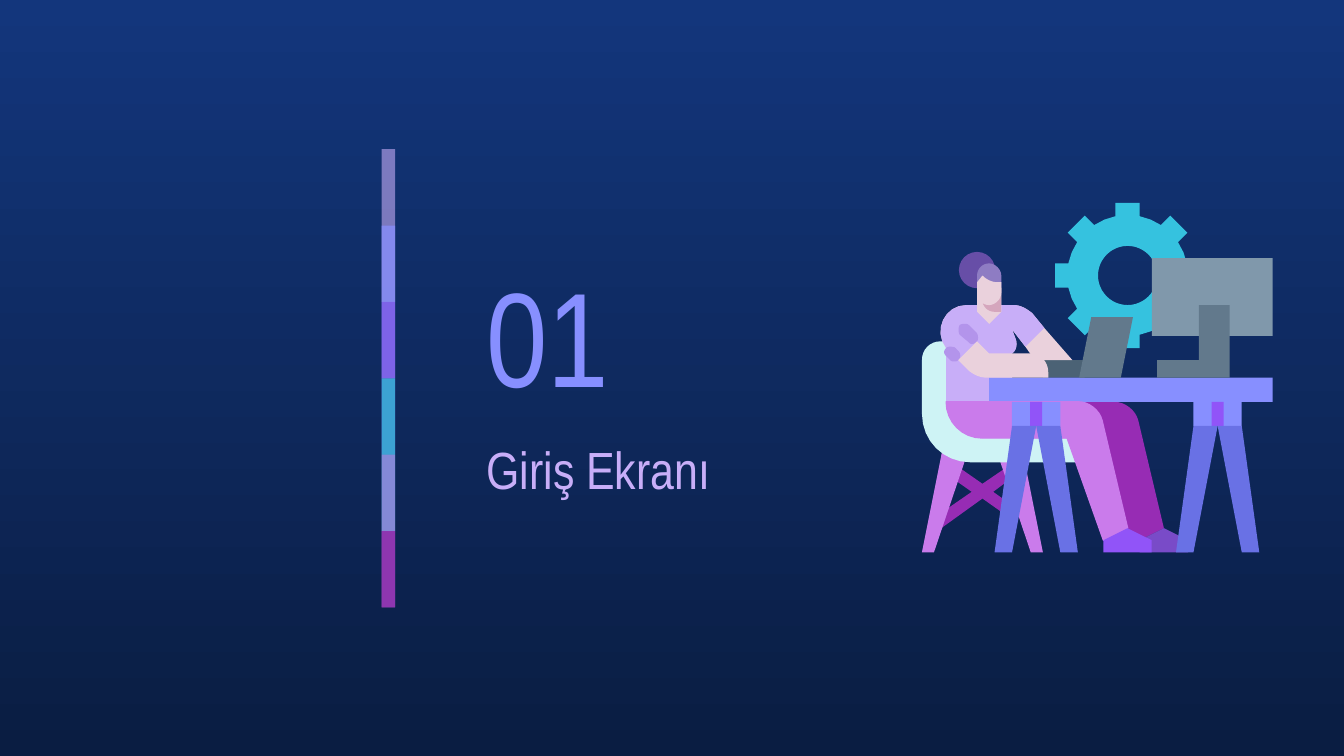
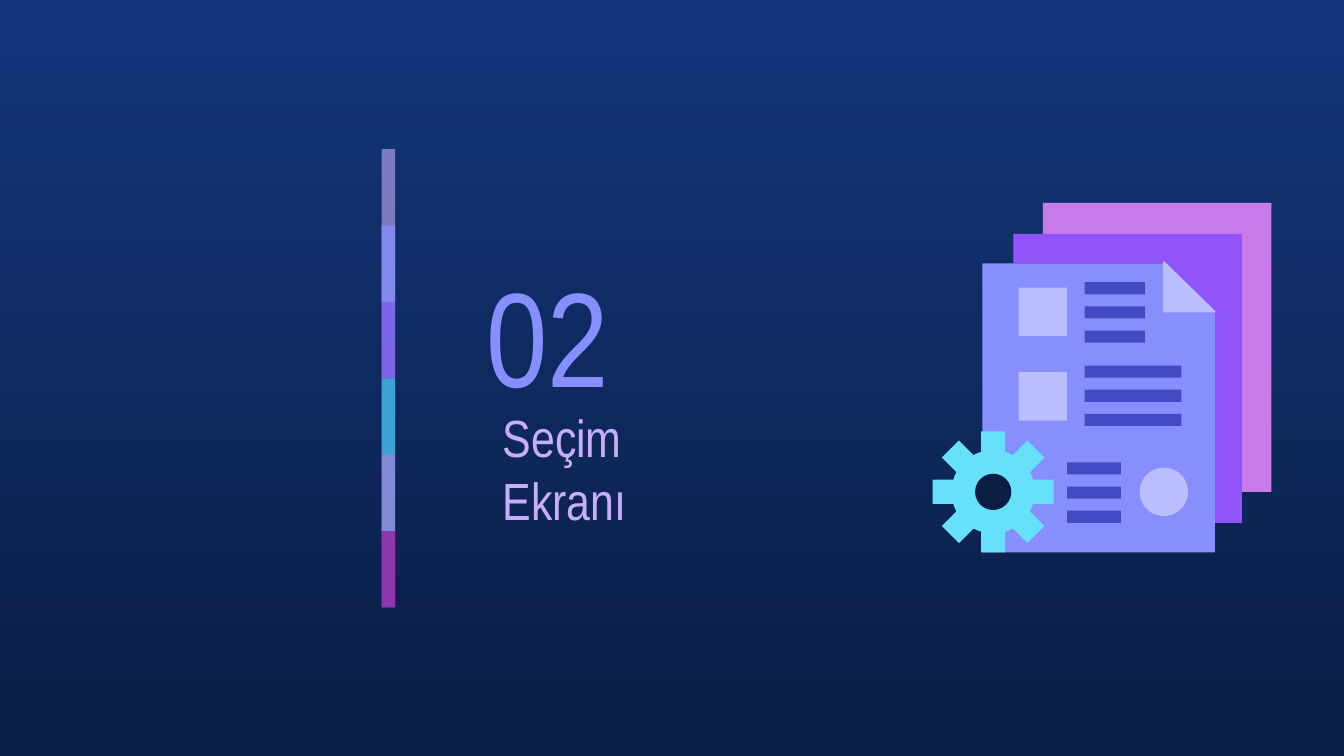
"""Build two section-divider slides with a shared striped rail and drawn scenes."""
import math

import lxml.etree
import pptx
import pptx.dml.color
import pptx.enum.shapes
import pptx.enum.text
import pptx.oxml.ns
import pptx.util

WIDTH = 10
HEIGHT = WIDTH * 9 / 16
FONT = "Arial Narrow"
COLOURS = {
    "sky": "13367C", "night": "0A1D42", "lilac": "C8AEF8", "periwinkle": "878FFF",
    "violet": "9154F8", "teal": "35C2DF", "orchid": "CA7BEB", "plum": "972CB4",
    "keyboard": "4B6275", "steel": "62798C", "screen": "8098AB", "ice": "CEF3F5",
    "back shoe": "794BC8", "skin": "EAD1DC", "neck": "D5A6BD", "crease": "B394EB",
    "trestle": "6971E5", "bun": "674EA7", "hair": "8E7CC3", "cyan": "67E0F9",
    "pale": "BBBFFF", "ink": "424BC4",
}
RAIL = [("lilac", 59), ("periwinkle", 74), ("violet", 53), ("teal", 76), ("orchid", 56), ("plum", 74)]
RAIL_LEFT, RAIL_TOP, RAIL_BOTTOM, RAIL_WIDTH = 2.84, 1.11, 4.52, 0.1
NUMBER_BOX = (3.52, 1.81, 1.75, 1.35)

BRACE = [(7.11, 3.46), (7.06, 3.54), (7.23, 3.66), (6.94, 3.86), (6.99, 3.94), (7.31, 3.71),
         (7.48, 3.83), (7.53, 3.76), (7.39, 3.66), (7.55, 3.54), (7.5, 3.47), (7.31, 3.6)]
SEAT = [(7, 2.54), (6.92, 2.54, 6.86, 2.6, 6.86, 2.68), (6.86, 3.08),
        (6.86, 3.28, 7.02, 3.44, 7.22, 3.44), (8.07, 3.44), (8.07, 3.22), (7.31, 3.22),
        (7.19, 3.22, 7.09, 3.12, 7.09, 2.99), (7.09, 2.54)]
THIGH = [(7.04, 2.99), (7.04, 3.14, 7.16, 3.26, 7.31, 3.26), (7.94, 3.26)]
SHIN = [(8.21, 4.02), (8.39, 3.93), (8.2, 3.13), (8.18, 3.05, 8.1, 2.99, 8.02, 2.99)]
HIDDEN_HEEL = [(8.39, 4.02)]
SHOE = [(8.39, 3.93), (8.21, 4.02), (8.21, 4.11), (8.57, 4.11), (8.57, 4.02)]
STRIDE = 0.27
SHIRT_FRONT = [(7.19, 2.27), (7.03, 2.27, 6.94, 2.46, 7.04, 2.59), (7.04, 2.99), (7.53, 2.99),
               (7.53, 2.63), (7.56, 2.61, 7.57, 2.57, 7.56, 2.53), (7.53, 2.45), (7.63, 2.58)]
FOREARM = [(7.7, 2.68), (7.98, 2.68)]
SHIRT_BACK = [(7.77, 2.44), (7.68, 2.33), (7.64, 2.3, 7.6, 2.27, 7.54, 2.27)]
CUFF = [(7.07, 2.58), (7.06, 2.58, 7.05, 2.58, 7.04, 2.59), (7.02, 2.61, 7.02, 2.63, 7.04, 2.65),
        (7.07, 2.68), (7.08, 2.69, 7.09, 2.69, 7.1, 2.69), (7.11, 2.69, 7.12, 2.69, 7.13, 2.68),
        (7.15, 2.66, 7.15, 2.63, 7.13, 2.61), (7.11, 2.59), (7.1, 2.58, 7.08, 2.58, 7.07, 2.58)]
FOLD = [(7.18, 2.41), (7.17, 2.41, 7.15, 2.41, 7.14, 2.42), (7.13, 2.44, 7.13, 2.47, 7.14, 2.49),
        (7.2, 2.54), (7.21, 2.55, 7.22, 2.56, 7.23, 2.56), (7.25, 2.56, 7.26, 2.55, 7.27, 2.54),
        (7.28, 2.53, 7.28, 2.5, 7.27, 2.48), (7.21, 2.42), (7.2, 2.41, 7.19, 2.41, 7.18, 2.41)]
COLLAR = [(7.27, 2.14), (7.27, 2.32), (7.36, 2.41), (7.45, 2.32), (7.45, 2.14)]
NEAR_ARM = [(7.27, 2.54), (7.13, 2.68), (7.21, 2.76), (7.25, 2.79, 7.29, 2.81, 7.34, 2.81),
            (7.8, 2.81), (7.8, 2.77), (7.8, 2.69, 7.74, 2.63, 7.67, 2.63), (7.36, 2.63)]
LAPTOP = [(8.12, 2.36), (8.03, 2.81), (8.34, 2.81), (8.43, 2.36)]
STAND = [(8.92, 2.27), (8.92, 2.68), (8.61, 2.68), (8.61, 2.81), (9.15, 2.81), (9.15, 2.27)]
CHIN = [(7.31, 2.14), (7.31, 2.23), (7.31, 2.28, 7.35, 2.32, 7.4, 2.32), (7.45, 2.32), (7.45, 2.14)]
HAIR = [(7.36, 1.96), (7.31, 1.96, 7.27, 2, 7.27, 2.05), (7.27, 2.14), (7.45, 2.14),
        (7.45, 2.05), (7.45, 2, 7.4, 1.96, 7.36, 1.96)]
FACE = [(7.31, 2.05), (7.27, 2.1), (7.27, 2.18), (7.27, 2.23, 7.31, 2.27, 7.36, 2.27),
        (7.4, 2.27, 7.45, 2.23, 7.45, 2.18), (7.45, 2.1), (7.42, 2.1), (7.38, 2.1, 7.34, 2.08, 7.31, 2.05)]

REAR_SHEET = [(7.76, 1.51), (7.76, 1.74), (9.24, 1.74), (9.24, 3.66), (9.46, 3.66), (9.46, 1.51)]
MIDDLE_SHEET = [(7.54, 1.74), (7.54, 1.96), (8.66, 1.96), (9.01, 2.32), (9.01, 3.89), (9.24, 3.89), (9.24, 1.74)]
FRONT_SHEET = [(7.31, 1.96), (7.31, 4.11), (9.04, 4.11), (9.04, 2.33), (8.68, 1.96)]
FOLDED_CORNER = [(8.66, 1.95), (8.66, 2.32), (9.04, 2.32)]
TEXT_LINES = [(8.07, 2.1, 0.45), (8.07, 2.72, 0.72), (7.94, 3.44, 0.4)]
LINE_PITCH, LINE_HEIGHT = 0.18, 0.09


def colour(name):
    return pptx.dml.color.RGBColor.from_string(COLOURS[name])


def inches(*values):
    return [pptx.util.Inches(value) for value in values]


def finish(shape, fill, outlined=False):
    shape.shadow.inherit = False
    shape.fill.solid()
    shape.fill.fore_color.rgb = colour(fill)
    if outlined:
        shape.line.color.rgb = colour(fill)
        shape.line.width = pptx.util.Pt(0.75)
    else:
        shape.line.fill.background()
    return shape


def rectangle(slide, fill, *box):
    return finish(slide.shapes.add_shape(pptx.enum.shapes.MSO_SHAPE.RECTANGLE, *inches(*box)), fill)


def disc(slide, fill, centre_x, centre_y, radius):
    box = inches(centre_x - radius, centre_y - radius, 2 * radius, 2 * radius)
    return finish(slide.shapes.add_shape(pptx.enum.shapes.MSO_SHAPE.OVAL, *box), fill)


def flatten(outline, steps=8):
    """Turn pairs and six-number cubic curves into a plain list of points."""
    points = []
    for segment in outline:
        if len(segment) == 2:
            points.append(segment)
            continue
        controls = [points[-1], segment[:2], segment[2:4], segment[4:]]
        for step in range(1, steps + 1):
            t = step / steps
            weights = [math.comb(3, k) * t ** k * (1 - t) ** (3 - k) for k in range(4)]
            points.append(tuple(sum(w * point[axis] for w, point in zip(weights, controls)) for axis in (0, 1)))
    return points


def freeform(slide, fill, *outlines, outlined=False):
    contours = [[inches(*point) for point in flatten(outline)] for outline in outlines]
    builder = slide.shapes.build_freeform(*contours[0][0], scale=1.0)
    for index, contour in enumerate(contours):
        if index:
            builder.move_to(*contour[0])
        builder.add_line_segments(contour[1:], close=True)
    return finish(builder.convert_to_shape(), fill, outlined)


def shifted(outline, distance):
    return [tuple(value + distance * (index % 2 == 0) for index, value in enumerate(segment))
            for segment in outline]


def gear(slide, fill, centre_x, centre_y, outer, body, hole=0, teeth=8, half_tooth=0.09):
    root = math.sqrt(body ** 2 - half_tooth ** 2)
    half_turn = math.pi / teeth
    valley = (body * math.sin(half_turn), body * math.cos(half_turn))
    tooth = [(-half_tooth, root), (-half_tooth, outer), (half_tooth, outer), (half_tooth, root), valley]
    rim = []
    for index in range(teeth):
        sine, cosine = math.sin(2 * half_turn * index), math.cos(2 * half_turn * index)
        rim += [(centre_x + x * cosine + y * sine, centre_y + x * sine - y * cosine) for x, y in tooth]
    circle = [(centre_x + hole * math.cos(math.tau * k / 48), centre_y - hole * math.sin(math.tau * k / 48))
              for k in range(48)]
    freeform(slide, fill, *([rim, circle] if hole else [rim]))


def leg_pair(slide, fill, centre, offsets, top, bottom):
    """Draw two mirrored legs from offsets for top, bottom, bottom, top corners."""
    for side in (-1, 1):
        freeform(slide, fill, [(centre + side * offset, y)
                               for offset, y in zip(offsets, (top, bottom, bottom, top))])


def trestle(slide, centre):
    rectangle(slide, "periwinkle", centre - 0.18, 2.99, 0.36, 0.18)
    rectangle(slide, "violet", centre - 0.045, 2.99, 0.09, 0.18)
    leg_pair(slide, "trestle", centre, (0.18, 0.31, 0.18, 0), 3.17, 4.11)


def draw_desk(slide):
    gear(slide, "teal", 8.39, 2.05, 0.54, 0.45, hole=0.22)
    rectangle(slide, "keyboard", 7.76, 2.68, 0.31, 0.13)
    freeform(slide, "plum", BRACE)
    leg_pair(slide, "orchid", 7.31, (0.09, 0.36, 0.45, 0.29), 3.31, 4.11)
    freeform(slide, "ice", SEAT)
    freeform(slide, "plum", shifted(THIGH, STRIDE) + HIDDEN_HEEL + shifted(SHIN, STRIDE))
    freeform(slide, "back shoe", shifted(SHOE, STRIDE))
    freeform(slide, "skin", SHIRT_FRONT + FOREARM + SHIRT_BACK)
    freeform(slide, "lilac", SHIRT_FRONT + SHIRT_BACK)
    rectangle(slide, "periwinkle", 7.36, 2.81, 2.11, 0.18)
    for fill, outline in [("crease", CUFF), ("crease", FOLD), ("skin", COLLAR),
                          ("skin", NEAR_ARM), ("steel", LAPTOP)]:
        freeform(slide, fill, outline)
    freeform(slide, "orchid", THIGH + SHIN, outlined=True)
    freeform(slide, "violet", SHOE)
    rectangle(slide, "screen", 8.57, 1.92, 0.9, 0.58)
    freeform(slide, "steel", STAND)
    for centre in (9.06, 7.71):
        trestle(slide, centre)
    freeform(slide, "neck", CHIN)
    disc(slide, "bun", 7.27, 2.01, 0.135)
    freeform(slide, "hair", HAIR)
    freeform(slide, "skin", FACE)


def draw_documents(slide):
    for fill, outline in [("orchid", REAR_SHEET), ("violet", MIDDLE_SHEET), ("periwinkle", FRONT_SHEET)]:
        freeform(slide, fill, outline)
    gear(slide, "cyan", 7.39, 3.66, 0.45, 0.31)
    disc(slide, "night", 7.39, 3.66, 0.135)
    for top in (2.14, 2.77):
        rectangle(slide, "pale", 7.58, top, 0.36, 0.36)
    disc(slide, "pale", 8.66, 3.66, 0.18)
    for left, top, width in TEXT_LINES:
        for row in range(3):
            rectangle(slide, "ink", left, top + row * LINE_PITCH, width, LINE_HEIGHT)
    freeform(slide, "pale", FOLDED_CORNER, outlined=True)


SECTIONS = [
    ("01", "Giriş Ekranı", (3.52, 3.15, 2.87, 0.67), draw_desk),
    ("02", "Seçim Ekranı", (3.64, 3.15, 1.99, 0.67), draw_documents),
]


def write(shape, text, box, size, fill):
    shape.left, shape.top, shape.width, shape.height = inches(*box)
    frame = shape.text_frame
    frame.text = text
    frame.word_wrap = True
    frame.auto_size = pptx.enum.text.MSO_AUTO_SIZE.NONE
    frame.vertical_anchor = pptx.enum.text.MSO_ANCHOR.MIDDLE
    frame.margin_left = frame.margin_right = frame.margin_top = frame.margin_bottom = pptx.util.Inches(0.1)
    paragraph = frame.paragraphs[0]
    paragraph.alignment = pptx.enum.text.PP_ALIGN.LEFT
    paragraph.font.name = FONT
    paragraph.font.size = pptx.util.Pt(size)
    paragraph.font.color.rgb = colour(fill)


def prepare_layout(layout):
    for placeholder in list(layout.placeholders)[1:]:
        layout.shapes.element.remove(placeholder.element)
    background = layout.background.fill
    background.gradient()
    background.gradient_angle = 270
    for stop, name in zip(background.gradient_stops, ("sky", "night")):
        stop.color.rgb = colour(name)


def add_rail(slide, layout):
    """Draw the translucent stripes and move them to the shared layout."""
    pitch = (RAIL_BOTTOM - RAIL_TOP) / len(RAIL)
    for index, (fill, opacity) in enumerate(RAIL):
        top = RAIL_TOP + index * pitch
        stripe = rectangle(slide, fill, RAIL_LEFT, top, RAIL_WIDTH, min(2 * pitch, RAIL_BOTTOM - top))
        tint = stripe.element.spPr.find(".//" + pptx.oxml.ns.qn("a:srgbClr"))
        lxml.etree.SubElement(tint, pptx.oxml.ns.qn("a:alpha"), val=str(opacity * 1000))
        layout.shapes.element.append(stripe.element)


def main():
    presentation = pptx.Presentation()
    presentation.slide_width, presentation.slide_height = inches(WIDTH, HEIGHT)
    layout = presentation.slide_layouts.get_by_name("Title Only")
    prepare_layout(layout)
    for index, (number, title, title_box, draw_scene) in enumerate(SECTIONS):
        slide = presentation.slides.add_slide(layout)
        if index == 0:
            add_rail(slide, layout)
        write(slide.shapes.add_textbox(*inches(*NUMBER_BOX)), number, NUMBER_BOX, 72, "periwinkle")
        write(slide.shapes.title, title, title_box, 28, "lilac")
        draw_scene(slide)
    presentation.save("out.pptx")


if __name__ == "__main__":
    main()
